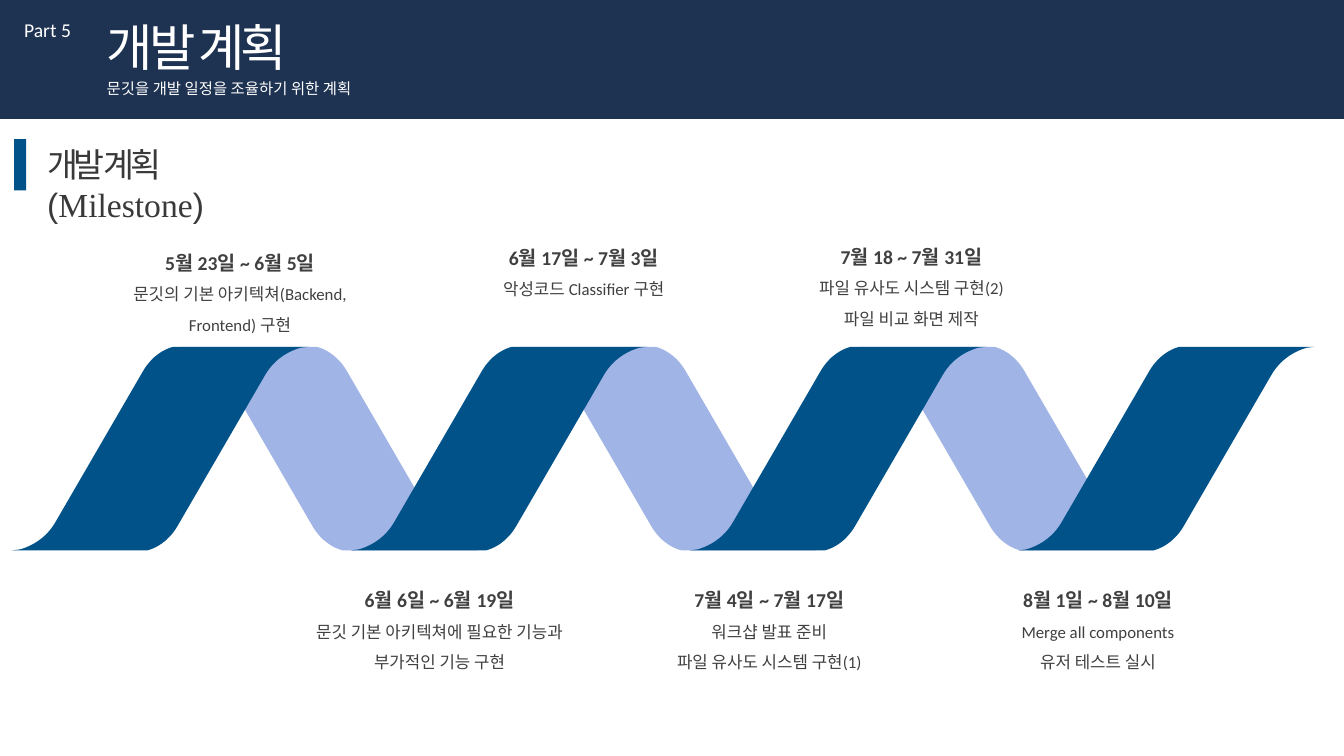
import dataclasses

import pptx
import pptx.dml.color
import pptx.enum.shapes
import pptx.enum.text
import pptx.util

Inches = pptx.util.Inches
Pt = pptx.util.Pt
Color = pptx.dml.color.RGBColor
Align = pptx.enum.text.PP_ALIGN
AutoSize = pptx.enum.text.MSO_AUTO_SIZE


@dataclasses.dataclass(frozen=True)
class Theme:
    """Colours, fonts and type sizes of the slide."""
    banner: Color = Color(0x1E, 0x32, 0x52)
    ribbon_front: Color = Color(0x00, 0x52, 0x89)
    ribbon_back: Color = Color(0xA0, 0xB4, 0xE6)
    on_banner: Color = Color(0xFF, 0xFF, 0xFF)
    heading: Color = Color(0x39, 0x39, 0x39)
    body: Color = Color(0x40, 0x40, 0x40)
    main_font: str = "Calibri"
    korean_font: str = "Arial"
    accent_font: str = "Times New Roman"
    title_size: int = 36
    heading_size: int = 24
    date_size: int = 14
    task_size: int = 12
    subtitle_size: int = 11
    tight_spacing: str = "-300"


THEME = Theme()
RIBBON_TOP = 3.43
RIBBON_WIDTH = 2.94
RIBBON_HEIGHT = 2.04
RIBBON_PITCH = 3.36
RIBBON_EDGE = [
    ("line", (1.83, 0.01)),
    ("line", (1.60, 0.01)),
    ("curve", (1.48, 0.04), (1.37, 0.13), (1.30, 0.25)),
    ("line", (0.43, 1.75)),
    ("curve", (0.35, 1.89), (0.22, 1.98), (0.08, 2.02)),
    ("line", (0, 2.03)),
]
MILESTONES = [
    (0.99, 2.32, 1.04, "5월 23일 ~ 6월 5일", ["문깃의 기본 아키텍쳐(Backend, Frontend) 구현"]),
    (4.4, 2.27, 0.74, "6월 17일 ~ 7월 3일", ["악성코드 Classifier 구현"]),
    (7.65, 2.26, 1.05, "7월 18 ~ 7월 31일", ["파일 유사도 시스템 구현(2)", "파일 비교 화면 제작"]),
    (2.97, 5.67, 1.04, "6월 6일 ~ 6월 19일", ["문깃 기본 아키텍쳐에 필요한 기능과 부가적인 기능 구현"]),
    (6.24, 5.67, 1.04, "7월 4일 ~ 7월 17일", ["워크샵 발표 준비", "파일 유사도 시스템 구현(1)"]),
    (9.5, 5.67, 1.04, "8월 1일 ~ 8월 10일", ["Merge all components", "유저 테스트 실시"]),
]


def paint(shape, color):
    """Give a shape a plain fill without line or shadow."""
    shape.shadow.inherit = False
    shape.fill.solid()
    shape.fill.fore_color.rgb = color
    shape.line.fill.background()


def add_bar(slide, left, top, width, height, color):
    """Add a filled rectangle."""
    bar = slide.shapes.add_shape(
        pptx.enum.shapes.MSO_SHAPE.RECTANGLE,
        Inches(left), Inches(top), Inches(width), Inches(height))
    paint(bar, color)
    return bar


def add_text(slide, left, top, width, height):
    """Add an empty text box and return its frame."""
    return slide.shapes.add_textbox(
        Inches(left), Inches(top), Inches(width), Inches(height)).text_frame


def style(paragraph, size, color, font=None, bold=False):
    """Set the type of a whole paragraph."""
    paragraph.font.size = Pt(size)
    paragraph.font.color.rgb = color
    paragraph.font.bold = bold
    if font:
        paragraph.font.name = font


def tighten(run):
    """Draw the letters of a run closer together."""
    run._r.get_or_add_rPr().set("spc", THEME.tight_spacing)


def write_label(frame, text, size, font):
    """Write one unwrapped line in the banner."""
    frame.word_wrap = False
    frame.auto_size = AutoSize.SHAPE_TO_FIT_TEXT
    frame.vertical_anchor = pptx.enum.text.MSO_ANCHOR.TOP
    label = frame.paragraphs[0]
    label.text = text
    label.alignment = Align.LEFT
    style(label, size, THEME.on_banner, font)
    return label


def add_banner(slide, left, top, width, height):
    """Place the banner with part number, title and subtitle."""
    banner = add_bar(slide, left, top, width, height, THEME.banner)
    title = slide.shapes.title
    title.element.addprevious(banner.element)
    title.left, title.top = Inches(left + 0.96), Inches(top + 0.11)
    title.width, title.height = Inches(2.1), Inches(0.71)
    name = write_label(title.text_frame, "개발 계획", THEME.title_size, THEME.main_font)
    tighten(name.runs[0])
    write_label(add_text(slide, left + 0.14, top + 0.13, 0.81, 0.34),
                "Part 5", THEME.date_size, THEME.main_font)
    write_label(add_text(slide, left + 0.96, top + 0.74, 2.81, 0.29),
                "문깃을 개발 일정을 조율하기 위한 계획", THEME.subtitle_size, THEME.korean_font)


def add_heading(slide, left, top, height):
    """Place the section heading beside its marker."""
    add_bar(slide, left, top, 0.12, height, THEME.ribbon_front)
    frame = add_text(slide, left + 0.23, top, 3.02, 0.9)
    frame.word_wrap = True
    heading = frame.paragraphs[0]
    korean = heading.add_run()
    korean.text = "개발 계획"
    korean.font.name = THEME.korean_font
    tighten(korean)
    heading.add_line_break()
    for text, font in [("(", THEME.korean_font), ("Milestone", THEME.accent_font),
                       (")", THEME.korean_font)]:
        run = heading.add_run()
        run.text = text
        run.font.name = font
    style(heading, THEME.heading_size, THEME.heading)


def bezier(points, t):
    """Return the point at t on a cubic curve."""
    weights = [(1 - t) ** 3, 3 * t * (1 - t) ** 2, 3 * t * t * (1 - t), t ** 3]
    return tuple(sum(w * p[axis] for w, p in zip(weights, points)) for axis in (0, 1))


def ribbon_outline(steps=12):
    """Return the ribbon's outline: one edge and its half turn."""
    edge = []
    for kind, *points in RIBBON_EDGE:
        if kind == "line":
            edge += points
        else:
            start = edge[-1]
            edge += [bezier([start, *points], n / steps) for n in range(1, steps + 1)]
    return edge + [(RIBBON_WIDTH - x, RIBBON_HEIGHT - y) for x, y in edge]


def add_ribbon(slide, left, top, color, mirrored=False):
    """Place one ribbon band, rising or mirrored to fall."""
    points = [(Inches(left + (RIBBON_WIDTH - x if mirrored else x)), Inches(top + y))
              for x, y in ribbon_outline()]
    builder = slide.shapes.build_freeform(*points[0])
    builder.add_line_segments(points[1:], close=True)
    paint(builder.convert_to_shape(), color)


def add_spiral(slide, left, top):
    """Place the alternating back and front bands."""
    for turn in range(3):
        start = left + turn * RIBBON_PITCH
        add_ribbon(slide, start + RIBBON_PITCH / 2, top, THEME.ribbon_back, mirrored=True)
        add_ribbon(slide, start, top, THEME.ribbon_front)
    add_ribbon(slide, left + 9.98, top, THEME.ribbon_front)


def add_milestone(slide, left, top, height, dates, tasks):
    """Place a period with its tasks below."""
    frame = add_text(slide, left, top, 2.78, height)
    frame.word_wrap = True
    frame.auto_size = AutoSize.SHAPE_TO_FIT_TEXT
    for index, text in enumerate([dates, *tasks]):
        entry = frame.add_paragraph() if index else frame.paragraphs[0]
        entry.text = text
        entry.alignment = Align.CENTER
        entry.line_spacing = 1.5
        size = THEME.task_size if index else THEME.date_size
        style(entry, size, THEME.body, THEME.main_font, bold=index == 0)


def main():
    """Build and save the development plan slide."""
    deck = pptx.Presentation()
    deck.slide_width, deck.slide_height = Inches(13.33), Inches(7.5)
    slide = deck.slides.add_slide(deck.slide_layouts[5])
    add_banner(slide, 0, 0, 13.33, 1.18)
    add_heading(slide, 0.14, 1.38, 0.51)
    add_spiral(slide, 0.12, RIBBON_TOP)
    for milestone in MILESTONES:
        add_milestone(slide, *milestone)
    deck.save("out.pptx")


if __name__ == "__main__":
    main()
